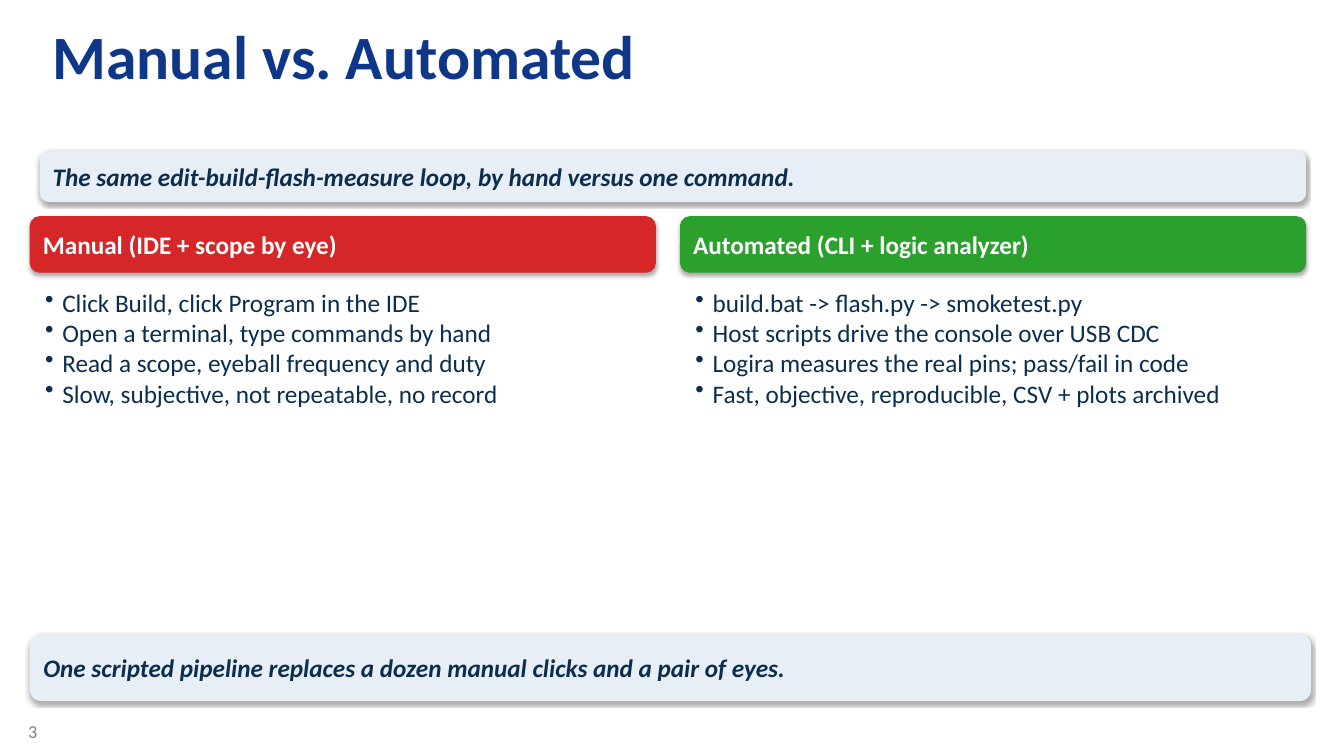
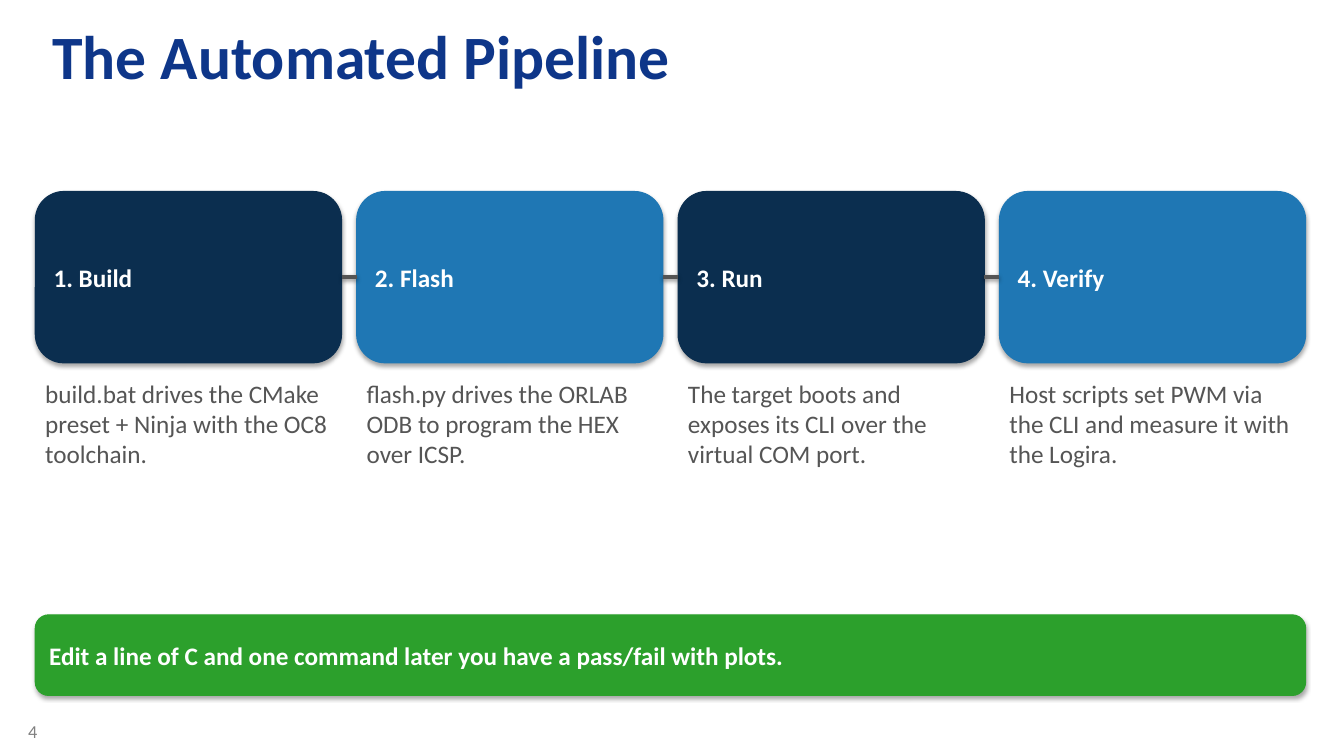
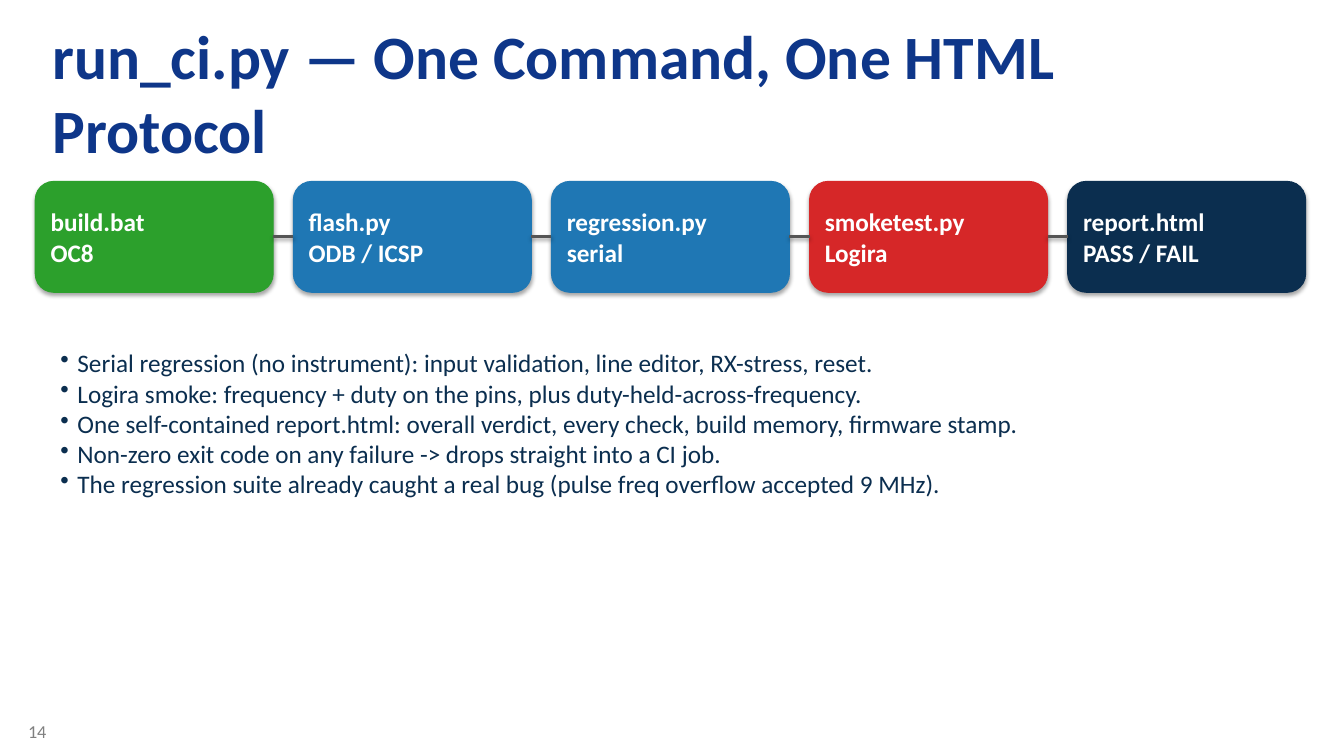
from dataclasses import dataclass
from typing import Any

import lxml.etree
import pptx
import pptx.dml.color
import pptx.enum.shapes
import pptx.enum.text
import pptx.oxml.ns
import pptx.util

Inches = pptx.util.Inches
qn = pptx.oxml.ns.qn

FONT = "Calibri"
TITLE_BLUE = "0E3689"
NAVY = "0B2E4F"
BLUE = "1F77B4"
RED = "D62728"
GREEN = "2CA02C"
PALE = "E8EEF5"
WHITE = "FFFFFF"
DARK_GREY = "555555"
PAGE_GREY = "808080"

MARGIN = 0.35
CONTENT_WIDTH = 12.6
BULLET_INDENT = 0.17


@dataclass(frozen=True)
class Box:
    """A rectangle in inches."""
    left: float
    top: float
    width: float
    height: float


@dataclass(frozen=True)
class Column:
    heading: str
    color: str
    left: float
    points: tuple[str, ...]


@dataclass(frozen=True)
class Step:
    label: str
    color: str
    detail: str = ""


COLUMNS = (
    Column("Manual (IDE + scope by eye)", RED, 0.3, (
        "Click Build, click Program in the IDE",
        "Open a terminal, type commands by hand",
        "Read a scope, eyeball frequency and duty",
        "Slow, subjective, not repeatable, no record",
    )),
    Column("Automated (CLI + logic analyzer)", GREEN, 6.75, (
        "build.bat -> flash.py -> smoketest.py",
        "Host scripts drive the console over USB CDC",
        "Logira measures the real pins; pass/fail in code",
        "Fast, objective, reproducible, CSV + plots archived",
    )),
)

PIPELINE = (
    Step("1. Build", NAVY,
         "build.bat drives the CMake preset + Ninja with the OC8 toolchain."),
    Step("2. Flash", BLUE,
         "flash.py drives the ORLAB ODB to program the HEX over ICSP."),
    Step("3. Run", NAVY,
         "The target boots and exposes its CLI over the virtual COM port."),
    Step("4. Verify", BLUE,
         "Host scripts set PWM via the CLI and measure it with the Logira."),
)

CI_STAGES = (
    Step("build.bat\nOC8", GREEN),
    Step("flash.py\nODB / ICSP", BLUE),
    Step("regression.py\nserial", BLUE),
    Step("smoketest.py\nLogira", RED),
    Step("report.html\nPASS / FAIL", NAVY),
)

CI_POINTS = (
    "Serial regression (no instrument): input validation, line editor, RX-stress, reset.",
    "Logira smoke: frequency + duty on the pins, plus duty-held-across-frequency.",
    "One self-contained report.html: overall verdict, every check, build memory, firmware stamp.",
    "Non-zero exit code on any failure -> drops straight into a CI job.",
    "The regression suite already caught a real bug (pulse freq overflow accepted 9 MHz).",
)


def rgb(color: str) -> pptx.dml.color.RGBColor:
    return pptx.dml.color.RGBColor.from_string(color)


def place(box: Box) -> tuple[int, ...]:
    return tuple(Inches(v) for v in (box.left, box.top, box.width, box.height))


def add_bullet(paragraph: Any) -> None:
    properties = paragraph._p.get_or_add_pPr()
    properties.set("marL", str(Inches(BULLET_INDENT)))
    properties.set("indent", str(-Inches(BULLET_INDENT)))
    lxml.etree.SubElement(properties, qn("a:buChar"), char="•")


def write(shape: Any, *paragraphs: str, color: str, size: float = 18,
          bold: bool = False, italic: bool = False, bullets: bool = False,
          anchor: Any = pptx.enum.text.MSO_ANCHOR.TOP) -> None:
    """Fill a shape with paragraphs; a newline inside one is a line break."""
    frame = shape.text_frame
    frame.word_wrap = True
    frame.vertical_anchor = anchor
    for index, text in enumerate(paragraphs):
        paragraph = frame.add_paragraph() if index else frame.paragraphs[0]
        paragraph.text = text
        paragraph.alignment = pptx.enum.text.PP_ALIGN.LEFT
        if bullets:
            add_bullet(paragraph)
        for run in paragraph.runs:
            run.font.name = FONT
            run.font.size = pptx.util.Pt(size)
            run.font.bold = bold
            run.font.italic = italic
            run.font.color.rgb = rgb(color)


def add_text(slide: Any, box: Box, *paragraphs: str, **text_format: Any) -> Any:
    text_box = slide.shapes.add_textbox(*place(box))
    write(text_box, *paragraphs, **text_format)
    return text_box


def add_shadow(effects: Any, distance: float, opacity: int) -> None:
    """Put a soft shadow that falls straight down into an effect list."""
    shadow = lxml.etree.SubElement(
        effects, qn("a:outerShdw"), blurRad=str(pptx.util.Pt(3.1)),
        dist=str(pptx.util.Pt(distance)), dir="5400000", rotWithShape="0")
    black = lxml.etree.SubElement(shadow, qn("a:srgbClr"), val="000000")
    lxml.etree.SubElement(black, qn("a:alpha"), val=str(opacity * 1000))


def add_band(slide: Any, box: Box, text: str, fill: str,
             color: str = WHITE, italic: bool = False) -> Any:
    """Draw a rounded, shadowed block with bold text."""
    band = slide.shapes.add_shape(
        pptx.enum.shapes.MSO_SHAPE.ROUNDED_RECTANGLE, *place(box))
    band.fill.solid()
    band.fill.fore_color.rgb = rgb(fill)
    band.line.color.rgb = rgb(fill)
    band.line.width = pptx.util.Pt(0.75)
    band.shadow.inherit = False
    add_shadow(band.element.spPr.find(qn("a:effectLst")), 1.8, 35)
    write(band, text, color=color, bold=True, italic=italic,
          anchor=pptx.enum.text.MSO_ANCHOR.MIDDLE)
    return band


def add_link(slide: Any, before: Any, after: Any, width: float) -> None:
    """Join the right side of one block to the left side of the next."""
    link = slide.shapes.add_connector(
        pptx.enum.shapes.MSO_CONNECTOR.STRAIGHT, 0, 0, 0, 0)
    link.begin_connect(before, 3)
    link.end_connect(after, 1)
    link.line.color.rgb = rgb(DARK_GREY)
    link.line.width = pptx.util.Pt(width)
    effects = lxml.etree.SubElement(link.element.spPr, qn("a:effectLst"))
    add_shadow(effects, 1.6, 38)


def add_chain(slide: Any, steps: tuple[Step, ...], top: float, height: float,
              gap: float, link_width: float) -> None:
    """Spread linked steps over the content width, details underneath."""
    width = (CONTENT_WIDTH - gap * (len(steps) - 1)) / len(steps)
    lefts = [MARGIN + i * (width + gap) for i in range(len(steps))]
    blocks = [add_band(slide, Box(left, top, width, height), step.label, step.color)
              for left, step in zip(lefts, steps)]
    for before, after in zip(blocks, blocks[1:]):
        add_link(slide, before, after, link_width)
    for left, step in zip(lefts, steps):
        if step.detail:
            add_text(slide, Box(left, top + height + 0.1, width, 1.3),
                     step.detail, color=DARK_GREY)


def new_slide(deck: Any, title: str, page: int) -> Any:
    slide = deck.slides.add_slide(deck.slide_layouts[6])
    add_text(slide, Box(0.18, 7.1, 0.59, 0.4), str(page), size=13, color=PAGE_GREY)
    heading = add_text(slide, Box(0.39, 0.11, 12.4, 1.75), title,
                       size=44, bold=True, color=TITLE_BLUE)
    frame = heading.text_frame
    frame.margin_left = frame.margin_right = Inches(0.13)
    frame.margin_top = frame.margin_bottom = Inches(0.07)
    return slide


def build_comparison(deck: Any) -> None:
    slide = new_slide(deck, "Manual vs. Automated", 3)
    add_band(slide, Box(0.4, 1.5, 12.55, 0.5),
             "The same edit-build-flash-measure loop, by hand versus one command.",
             PALE, color=NAVY, italic=True)
    for column in COLUMNS:
        add_band(slide, Box(column.left, 2.15, 6.2, 0.55), column.heading, column.color)
        add_text(slide, Box(column.left + 0.05, 2.8, 6.1, 3.35), *column.points,
                 color=NAVY, bullets=True)
    add_band(slide, Box(0.3, 6.3, 12.7, 0.65),
             "One scripted pipeline replaces a dozen manual clicks and a pair of eyes.",
             PALE, color=NAVY, italic=True)


def build_pipeline(deck: Any) -> None:
    slide = new_slide(deck, "The Automated Pipeline", 4)
    add_chain(slide, PIPELINE, top=1.9, height=1.7, gap=0.15, link_width=3)
    add_band(slide, Box(MARGIN, 6.1, CONTENT_WIDTH, 0.8),
             "Edit a line of C and one command later you have a pass/fail with plots.",
             GREEN)


def build_ci(deck: Any) -> None:
    slide = new_slide(deck, "run_ci.py — One Command, One HTML Protocol", 14)
    add_chain(slide, CI_STAGES, top=1.8, height=1.1, gap=0.2, link_width=2)
    add_text(slide, Box(0.5, 3.4, 12.3, 3.5), *CI_POINTS, color=NAVY, bullets=True)


def main() -> None:
    deck = pptx.Presentation()
    deck.slide_width = Inches(13.33)
    deck.slide_height = Inches(7.5)
    build_comparison(deck)
    build_pipeline(deck)
    build_ci(deck)
    deck.save("out.pptx")


if __name__ == "__main__":
    main()
